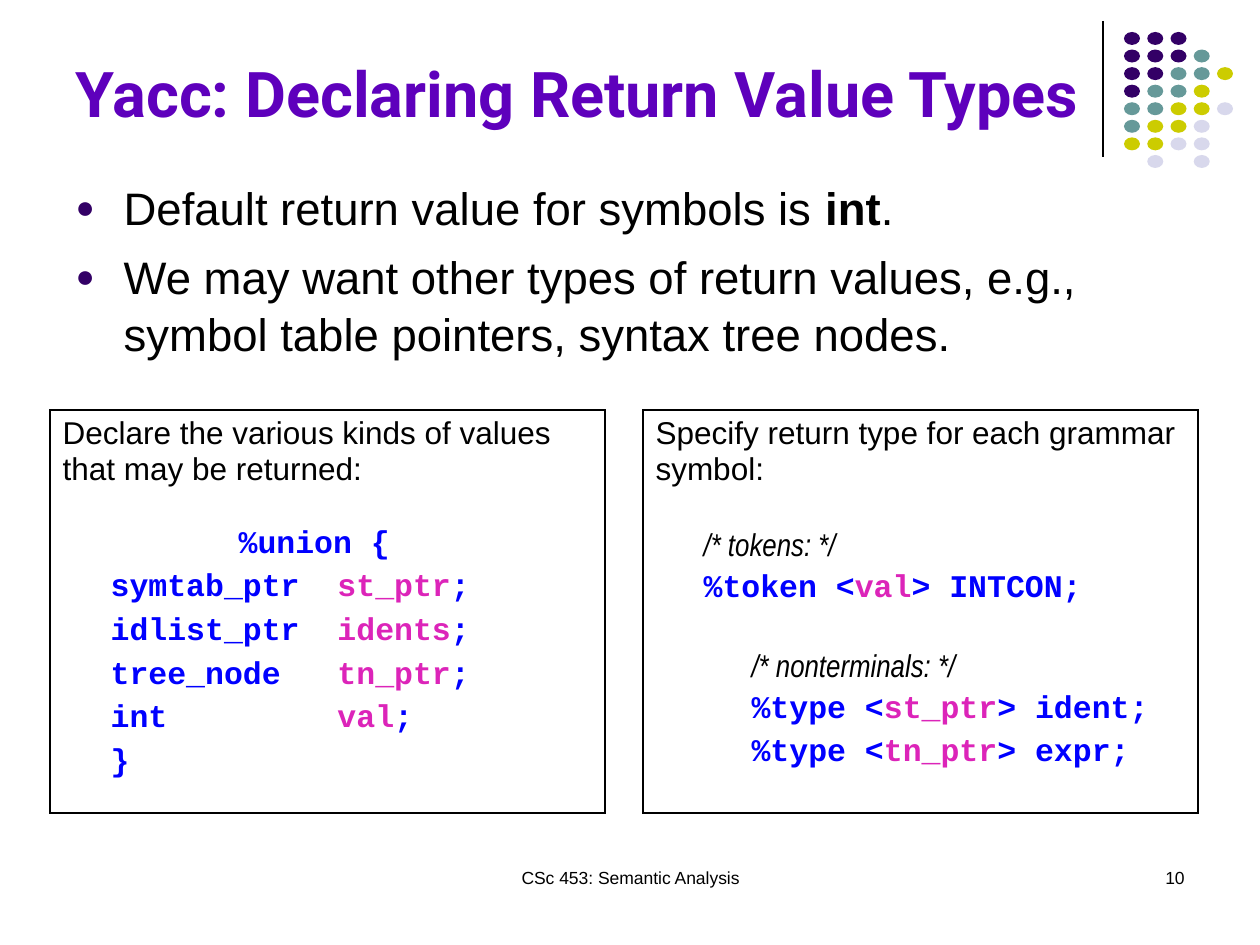
from pptx import Presentation
from pptx.dml.color import RGBColor
from pptx.enum.shapes import MSO_CONNECTOR, MSO_SHAPE
from pptx.enum.text import MSO_ANCHOR, MSO_AUTO_SIZE, PP_ALIGN
from pptx.oxml import parse_xml
from pptx.oxml.ns import nsdecls, qn
from pptx.util import Emu, Pt

ELLIPSE = MSO_SHAPE.OVAL
STRAIGHT = MSO_CONNECTOR.STRAIGHT
LEFT, CENTER, RIGHT = PP_ALIGN.LEFT, PP_ALIGN.CENTER, PP_ALIGN.RIGHT
BOTTOM, TOP = MSO_ANCHOR.BOTTOM, MSO_ANCHOR.TOP
NO_AUTOFIT = MSO_AUTO_SIZE.NONE

PIXELS_PER_INCH = 126
COLORS = {
    "black": "000000",
    "title": "5E00BC",
    "purple": "330066",
    "teal": "669999",
    "yellow": "CCCC00",
    "lavender": "D8D8EC",
    "code": "0000FF",
    "field": "DC24B9",
}
DOT_COLORS = {"P": "purple", "T": "teal", "Y": "yellow", "L": "lavender"}
DOT_ROWS = ["PPP", "PPPT", "PPTTY", "PTTY", "TTYYL", "TYYL", "YYLL", " L L"]

STYLES = {
    "title": ("Roboto", 36, "title", True, False),
    "body": ("Arial", 26, "black", False, False),
    "strong": ("Arial", 26, "black", True, False),
    "intro": ("Arial", 18, "black", False, False),
    "comment": ("Arial Narrow", 18, "black", False, True),
    "code": ("Courier New", 18, "code", True, False),
    "field": ("Courier New", 18, "field", True, False),
    "footer": ("Arial", 10, "black", False, False),
}

BULLETS = [
    [("Default return value for symbols is ", "body"), ("int", "strong"), (".", "body")],
    [("We may want other types of return values, e.g., "
      "symbol table pointers, syntax tree nodes.", "body")],
]


def code_line(before, field, after):
    return [(before, "code"), (field, "field"), (after, "code")]


UNION_PANEL = [
    (0, 0, [("Declare the various kinds of values that may be returned:", "intro")]),
    (176, 23, [("%union {", "code")]),
    (48, 4.5, code_line("symtab_ptr  ", "st_ptr", ";")),
    (48, 4.5, code_line("idlist_ptr  ", "idents", ";")),
    (48, 4.5, code_line("tree_node   ", "tn_ptr", ";")),
    (48, 4.5, code_line("int         ", "val", ";")),
    (48, 4.5, [("}", "code")]),
]
SYMBOL_PANEL = [
    (0, 0, [("Specify return type for each grammar symbol:", "intro")]),
    (48, 27, [("/* tokens: */", "comment")]),
    (48, 4.5, code_line("%token <", "val", "> INTCON;")),
    (96, 27, [("/* nonterminals: */", "comment")]),
    (96, 4.5, code_line("%type <", "st_ptr", "> ident;")),
    (96, 4.5, code_line("%type <", "tn_ptr", "> expr;")),
]


def px(length):
    return Emu(round(length * 914400 / PIXELS_PER_INCH))


def color(name):
    return RGBColor.from_string(COLORS[name])


def move(shape, box):
    shape.left, shape.top, shape.width, shape.height = map(px, box)


def add_runs(paragraph, runs):
    for text, style in runs:
        run = paragraph.add_run()
        run.text = text
        font = run.font
        font.name, size, color_name, font.bold, font.italic = STYLES[style]
        font.size = Pt(size)
        font.color.rgb = color(color_name)


def paragraphs_for(text_frame, count):
    while len(text_frame.paragraphs) < count:
        text_frame.add_paragraph()
    return text_frame.paragraphs


def indent(paragraph, margin, first=0):
    properties = paragraph._p.get_or_add_pPr()
    properties.set("marL", str(px(margin)))
    properties.set("indent", str(px(first)))
    return properties


def fill_title(shape, box):
    move(shape, box)
    text_frame = shape.text_frame
    text_frame.auto_size = NO_AUTOFIT
    text_frame.vertical_anchor = BOTTOM
    paragraph = text_frame.paragraphs[0]
    paragraph.alignment = LEFT
    add_runs(paragraph, [("Yacc: Declaring Return Value Types", "title")])


def fill_bullets(shape, box):
    move(shape, box)
    text_frame = shape.text_frame
    text_frame.auto_size = NO_AUTOFIT
    text_frame.vertical_anchor = TOP
    paragraphs = paragraphs_for(text_frame, len(BULLETS))
    for index, (paragraph, runs) in enumerate(zip(paragraphs, BULLETS)):
        properties = indent(paragraph, 48, -48)
        for xml in (
            f'<a:buClr {nsdecls("a")}><a:srgbClr val="{COLORS["purple"]}"/></a:buClr>',
            f'<a:buSzPct {nsdecls("a")} val="70000"/>',
            f'<a:buFont {nsdecls("a")} typeface="Arial"/>',
            f'<a:buChar {nsdecls("a")} char="●"/>',
        ):
            properties.append(parse_xml(xml))
        paragraph.line_spacing = 1.05
        paragraph.space_before = Pt(6.5 if index else 0)
        add_runs(paragraph, runs)


def add_dots(slide, box):
    left, top, width, height = box
    dot_width, dot_height = 16, 13
    column_step = (width - dot_width) / (max(map(len, DOT_ROWS)) - 1)
    row_step = (height - dot_height) / (len(DOT_ROWS) - 1)
    for row, letters in enumerate(DOT_ROWS):
        for column, letter in enumerate(letters):
            if letter == " ":
                continue
            dot = slide.shapes.add_shape(
                ELLIPSE, px(left + column * column_step), px(top + row * row_step),
                px(dot_width), px(dot_height))
            dot.shadow.inherit = False
            dot.fill.solid()
            dot.fill.fore_color.rgb = color(DOT_COLORS[letter])
            dot.line.fill.background()


def add_divider(slide, box):
    left, top, width, height = box
    divider = slide.shapes.add_connector(
        STRAIGHT, px(left), px(top), px(left + width), px(top + height))
    divider.line.color.rgb = color("black")
    divider.line.width = Pt(0.75)
    divider._element.spPr.append(parse_xml(f'<a:effectLst {nsdecls("a")}/>'))


def add_panel(slide, box, lines):
    table = slide.shapes.add_table(1, 1, *map(px, box)).table
    table.first_row = table.horz_banding = False
    cell = table.cell(0, 0)
    cell.fill.background()
    cell_properties = cell._tc.find(qn("a:tcPr"))
    for position, side in enumerate("LRTB"):
        cell_properties.insert(position, parse_xml(
            f'<a:ln{side} {nsdecls("a")} w="{Pt(1.08)}"><a:solidFill>'
            f'<a:srgbClr val="{COLORS["black"]}"/></a:solidFill></a:ln{side}>'))
    paragraphs = paragraphs_for(cell.text_frame, len(lines))
    for paragraph, (margin, space, runs) in zip(paragraphs, lines):
        indent(paragraph, margin)
        paragraph.space_before = Pt(space)
        add_runs(paragraph, runs)


def add_footer(slide, box, text, alignment):
    text_frame = slide.shapes.add_textbox(*map(px, box)).text_frame
    text_frame.word_wrap = True
    paragraph = text_frame.paragraphs[0]
    paragraph.alignment = alignment
    add_runs(paragraph, [(text, "footer")])


def main():
    presentation = Presentation()
    presentation.slide_width, presentation.slide_height = px(1260), px(945)
    slide = presentation.slides.add_slide(presentation.slide_layouts[1])
    add_divider(slide, (1103, 21, 0, 136))
    add_dots(slide, (1124, 32, 109, 136))
    fill_title(slide.shapes.title, (63, 16, 1040, 120))
    fill_bullets(slide.placeholders[1], (63, 171, 1134, 214))
    add_panel(slide, (50, 410, 555, 403), UNION_PANEL)
    add_panel(slide, (643, 410, 555, 403), SYMBOL_PANEL)
    add_footer(slide, (431, 861, 399, 63), "CSc 453: Semantic Analysis", CENTER)
    add_footer(slide, (903, 861, 294, 63), "10", RIGHT)
    presentation.save("out.pptx")


if __name__ == "__main__":
    main()
